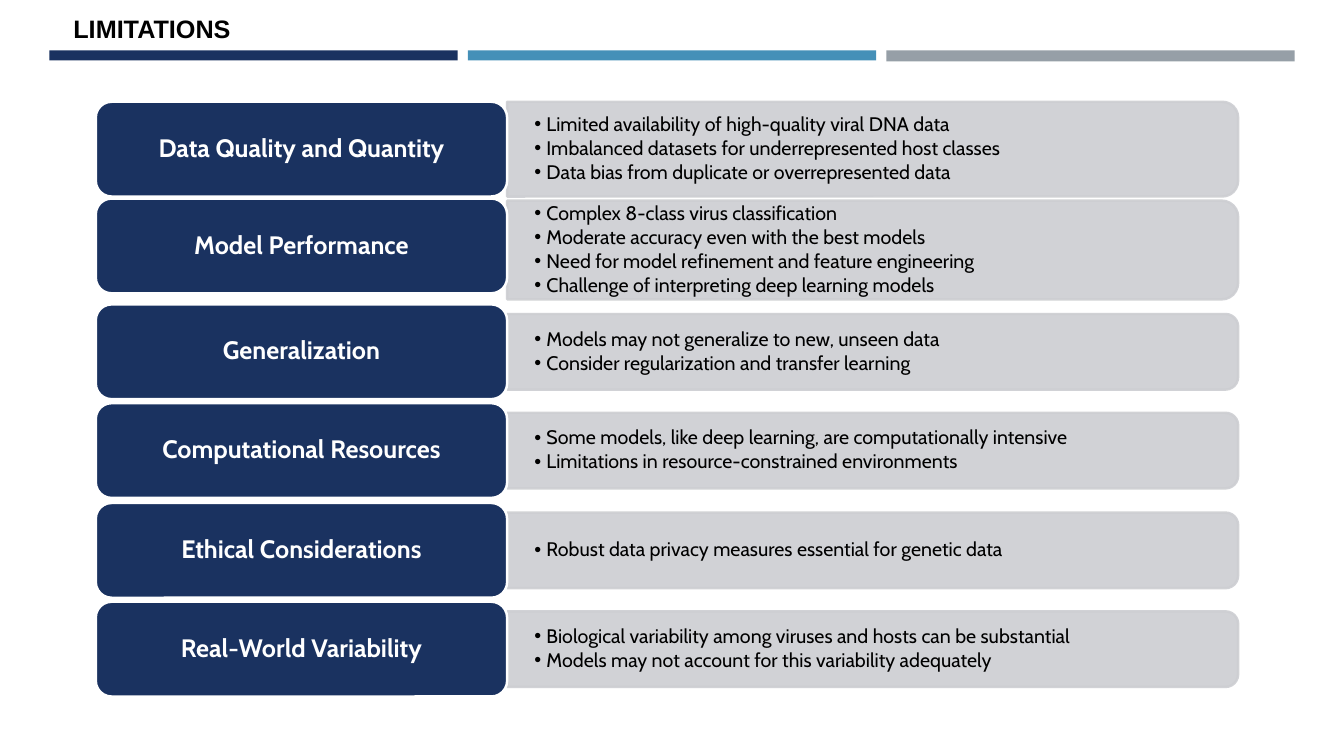
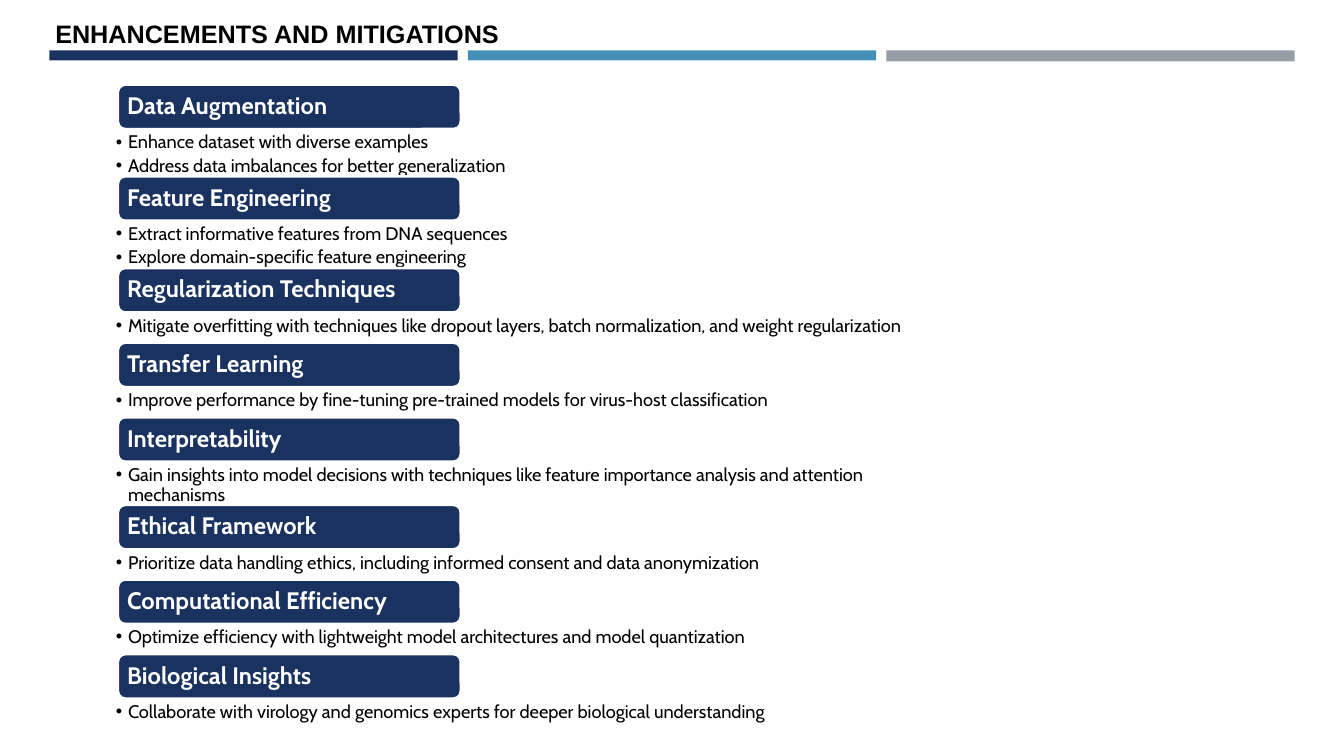
from pptx import Presentation
from pptx.dml.color import RGBColor
from pptx.enum.shapes import MSO_SHAPE
from pptx.enum.text import MSO_ANCHOR, PP_ALIGN
from pptx.oxml.ns import qn
from pptx.util import Emu, Pt
from lxml import etree

RECT, ROUND, TAB = MSO_SHAPE.RECTANGLE, MSO_SHAPE.ROUNDED_RECTANGLE, MSO_SHAPE.ROUND_2_SAME_RECTANGLE
LEFT, CENTER = PP_ALIGN.LEFT, PP_ALIGN.CENTER
TOP, MIDDLE = MSO_ANCHOR.TOP, MSO_ANCHOR.MIDDLE

NAVY, BLUE, GRAY, PALE = "1A3260", "4590B8", "969FA7", "CDCED2"
WHITE, BLACK = "FFFFFF", "000000"
HEAD, BODY = "Arial", "Cabin"

LIMITS = [
    ("Data Quality and Quantity", 101, 148, 94, [
        "Limited availability of high-quality viral DNA data",
        "Imbalanced datasets for underrepresented host classes",
        "Data bias from duplicate or overrepresented data"]),
    ("Model Performance", 197, 248, 98, [
        "Complex 8-class virus classification",
        "Moderate accuracy even with the best models",
        "Need for model refinement and feature engineering",
        "Challenge of interpreting deep learning models"]),
    ("Generalization", 302, 349, 75, [
        "Models may not generalize to new, unseen data",
        "Consider regularization and transfer learning"]),
    ("Computational Resources", 400, 447, 75, [
        "Some models, like deep learning, are computationally intensive",
        "Limitations in resource-constrained environments"]),
    ("Ethical Considerations", 499, 546, 75, [
        "Robust data privacy measures essential for genetic data"]),
    ("Real-World Variability", 597, 644, 75, [
        "Biological variability among viruses and hosts can be substantial",
        "Models may not account for this variability adequately"]),
]

STEPS = [
    ("Data Augmentation", 47, [
        "Enhance dataset with diverse examples",
        "Address data imbalances for better generalization"]),
    ("Feature Engineering", 47, [
        "Extract informative features from DNA sequences",
        "Explore domain-specific feature engineering"]),
    ("Regularization Techniques", 30, [
        "Mitigate overfitting with techniques like dropout layers, batch normalization, and weight regularization"]),
    ("Transfer Learning", 30, [
        "Improve performance by fine-tuning pre-trained models for virus-host classification"]),
    ("Interpretability", 43, [
        "Gain insights into model decisions with techniques like feature importance analysis and attention mechanisms"]),
    ("Ethical Framework", 30, [
        "Prioritize data handling ethics, including informed consent and data anonymization"]),
    ("Computational Efficiency", 30, [
        "Optimize efficiency with lightweight model architectures and model quantization"]),
    ("Biological Insights", 30, [
        "Collaborate with virology and genomics experts for deeper biological understanding"]),
]


def px(n):
    return Emu(round(n * 9144))


def color(code):
    return RGBColor.from_string(code)


def shape(slide, kind, box, fill, line=None):
    item = slide.shapes.add_shape(kind, *map(px, box))
    item.shadow.inherit = False
    item.fill.solid()
    item.fill.fore_color.rgb = color(fill)
    if line:
        item.line.color.rgb = color(line)
        item.line.width = Pt(1.75)
    else:
        item.line.fill.background()
    return item


def write(item, lines, size, ink, pads, anchor, font=BODY, bold=False, align=LEFT, space=0.9, gap=None):
    frame = item.text_frame
    frame.word_wrap = True
    frame.vertical_anchor = anchor
    frame.margin_left, frame.margin_top, frame.margin_right, frame.margin_bottom = map(px, pads)
    for i, line in enumerate(lines):
        para = frame.add_paragraph() if i else frame.paragraphs[0]
        para.alignment = align
        para.line_spacing = space
        if gap is not None:
            para.space_after = Pt(gap)
            props = para._p.get_or_add_pPr()
            props.set("marL", str(px(12)))
            props.set("indent", str(px(-12)))
            etree.SubElement(props, qn("a:buFont")).set("typeface", HEAD)
            etree.SubElement(props, qn("a:buChar")).set("char", "•")
        run = para.add_run()
        run.text = line
        run.font.name = font
        run.font.size = Pt(size)
        run.font.bold = bold
        run.font.color.rgb = color(ink)


def text(slide, box, lines, *args, **opts):
    write(slide.shapes.add_textbox(*map(px, box)), lines, *args, **opts)


def card(slide, box, label, size, pads, align):
    item = shape(slide, ROUND, box, NAVY, WHITE)
    write(item, [label], size, WHITE, pads, MIDDLE, bold=True, align=align)


def bar(slide, left, mid, wide, tall):
    box = (left + (wide - tall) / 2, mid - wide / 2, tall, wide)
    item = shape(slide, TAB, box, PALE, PALE)
    item.rotation = 90
    for tint in item._element.spPr.iter(qn("a:srgbClr")):
        etree.SubElement(tint, qn("a:alpha")).set("val", "90000")


def page(deck, title, left, top):
    slide = deck.slides.add_slide(deck.slide_layouts[6])
    for i, (fill, tall) in enumerate([(NAVY, 10), (BLUE, 10), (GRAY, 11)]):
        shape(slide, RECT, (49 + i * 415, 50, 405, tall), fill)
    text(slide, (left, top, 667, 40), [title], 18, BLACK, (10, 5, 10, 5), TOP,
         font=HEAD, bold=True, space=1.0)
    return slide


def limits(deck):
    slide = page(deck, "LIMITATIONS", 63, 8)
    for label, top, mid, tall, points in LIMITS:
        bar(slide, 503, mid, 725, tall)
        text(slide, (503, mid - tall / 2, 720, tall), points, 14, BLACK,
             (27, 0, 27, 0), MIDDLE, gap=2.1)
        card(slide, (95, top, 408, 94), label, 18, (7, 4, 7, 4), CENTER)


def steps(deck):
    slide = page(deck, "ENHANCEMENTS AND MITIGATIONS", 45, 13)
    top = 84
    for label, tall, points in STEPS:
        card(slide, (117, top, 340, 44), label, 17, (7, 7, 7, 7), LEFT)
        text(slide, (89, top + 46, 832, tall), points, 13, BLACK,
             (26, 2, 13, 2), TOP, gap=2.6)
        top += 44 + tall


def main():
    deck = Presentation()
    deck.slide_width, deck.slide_height = px(1333), px(750)
    limits(deck)
    steps(deck)
    deck.save("out.pptx")


if __name__ == "__main__":
    main()
